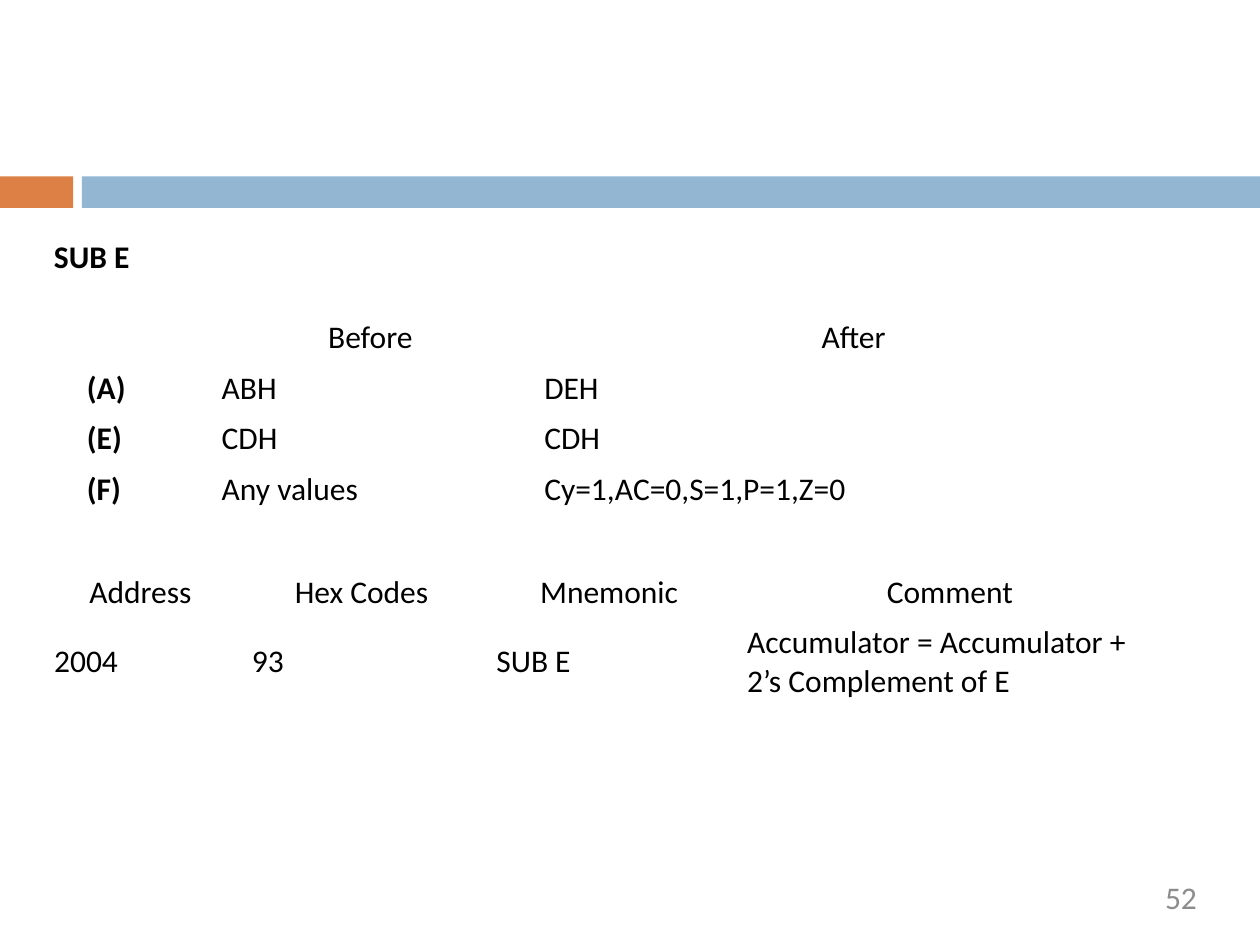
import pptx
import pptx.util
import pptx.dml.color
import pptx.enum.shapes
import pptx.enum.text

WIDTH, HEIGHT = 10, 7.5
ALIGN = pptx.enum.text.PP_ALIGN
MIDDLE = pptx.enum.text.MSO_ANCHOR.MIDDLE
THEME = {
    "font": "Calibri",
    "size": 18,
    "text": "000000",
    "muted": "8C8C8C",
    "accent": "DD8046",
    "band": "93B6D2",
}


def inches(*lengths):
    return [pptx.util.Inches(n) for n in lengths]


def color(name):
    return pptx.dml.color.RGBColor.from_string(THEME[name])


def write(tf, text, align=ALIGN.LEFT, bold=False, ink="text"):
    p = tf.paragraphs[0]
    p.alignment = align
    r = p.add_run()
    r.text = text
    formats = {"name": THEME["font"], "size": pptx.util.Pt(THEME["size"]), "bold": bold}
    for key, value in formats.items():
        setattr(r.font, key, value)
    r.font.color.rgb = color(ink)


def add_bar(s, left, right, fill):
    sp = s.shapes.add_shape(pptx.enum.shapes.MSO_SHAPE.RECTANGLE,
                            *inches(left, 1.4, right - left, 0.25))
    sp.shadow.inherit = False
    sp.fill.solid()
    sp.fill.fore_color.rgb = color(fill)
    sp.line.fill.background()


def add_label(s, box, text, wrap=True, inset=None, **style):
    tf = s.shapes.add_textbox(*inches(*box)).text_frame
    tf.word_wrap = wrap
    if inset is not None:
        for side in ("left", "top", "right", "bottom"):
            setattr(tf, f"margin_{side}", pptx.util.Inches(inset))
    write(tf, text, **style)


def add_grid(s, left, top, widths, heights, rows, bold_first=False):
    """Plain table with a centred header row and, if asked, a bold first column."""
    table = s.shapes.add_table(len(rows), len(widths),
                               *inches(left, top, sum(widths), sum(heights))).table
    table.first_row = table.horz_banding = False
    for column, width in zip(table.columns, widths):
        column.width = pptx.util.Inches(width)
    for row, height in zip(table.rows, heights):
        row.height = pptx.util.Inches(height)
    for i, row in enumerate(rows):
        for j, text in enumerate(row):
            cell = table.cell(i, j)
            cell.fill.background()
            cell.vertical_anchor = MIDDLE
            if text:
                write(cell.text_frame, text, bold=bold_first and j == 0,
                      align=ALIGN.LEFT if i else ALIGN.CENTER)


def main():
    prs = pptx.Presentation()
    prs.slide_width, prs.slide_height = inches(WIDTH, HEIGHT)
    s = prs.slides.add_slide(prs.slide_layouts[6])

    # Divider band
    add_bar(s, 0, 0.58, "accent")
    add_bar(s, 0.65, WIDTH, "band")

    # Page number and instruction name
    add_label(s, (7.2, 6.97, 2.3, 0.38), "52", inset=0, align=ALIGN.RIGHT, ink="muted")
    add_label(s, (0.33, 1.83, 0.87, 0.4), "SUB E", wrap=False, bold=True)

    # Register contents
    add_grid(s, 0.59, 2.48, [1.07, 2.56, 5.11], [0.4] * 4, [
        ["", "Before", "After"],
        ["(A)", "ABH", "DEH"],
        ["(E)", "CDH", "CDH"],
        ["(F)", "Any values", "Cy=1,AC=0,S=1,P=1,Z=0"],
    ], bold_first=True)

    # Program listing
    add_grid(s, 0.33, 4.5, [1.57, 1.94, 1.99, 3.42], [0.4, 0.7], [
        ["Address", "Hex Codes", "Mnemonic", "Comment"],
        ["2004", "93", "SUB E", "Accumulator = Accumulator + 2’s Complement of E"],
    ])

    prs.save("out.pptx")


if __name__ == "__main__":
    main()
